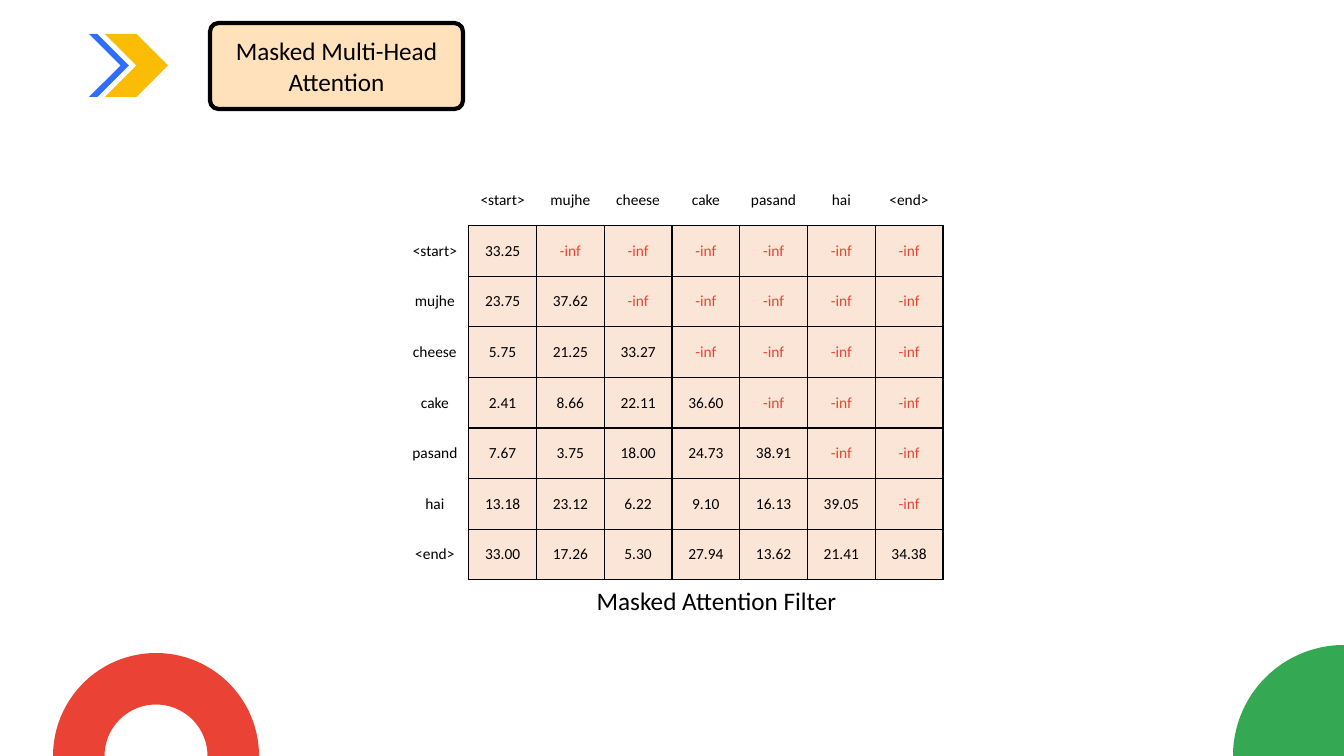
from math import cos, pi, sin

from lxml.etree import SubElement
from pptx import Presentation
from pptx.dml.color import RGBColor
from pptx.enum.shapes import MSO_SHAPE as SHAPE
from pptx.enum.text import MSO_ANCHOR as ANCHOR, MSO_AUTO_SIZE as AUTO, PP_ALIGN as ALIGN
from pptx.oxml.ns import qn
from pptx.util import Emu, Pt

BLACK = RGBColor(0x00, 0x00, 0x00)
WHITE = RGBColor(0xFF, 0xFF, 0xFF)
YELLOW = RGBColor(0xFB, 0xBC, 0x05)
BLUE = RGBColor(0x2F, 0x6D, 0xFF)
RED = RGBColor(0xEA, 0x43, 0x35)
GREEN = RGBColor(0x34, 0xA8, 0x53)
CREAM = RGBColor(0xFF, 0xE2, 0xBB)
PEACH = RGBColor(0xFB, 0xE5, 0xD6)

TOKENS = ["<start>", "mujhe", "cheese", "cake", "pasand", "hai", "<end>"]
SCORES = [
    ["33.25"],
    ["23.75", "37.62"],
    ["5.75", "21.25", "33.27"],
    ["2.41", "8.66", "22.11", "36.60"],
    ["7.67", "3.75", "18.00", "24.73", "38.91"],
    ["13.18", "23.12", "6.22", "9.10", "16.13", "39.05"],
    ["33.00", "17.26", "5.30", "27.94", "13.62", "21.41", "34.38"],
]


def px(n):
    return Emu(round(n * 914400 / 100.8))


def box(*lengths):
    return [px(n) for n in lengths]


def write(tf, text, size, color=BLACK):
    p = tf.paragraphs[0]
    p.alignment = ALIGN.CENTER
    r = p.add_run()
    r.text = text
    r.font.name = "Calibri"
    r.font.size = Pt(size)
    r.font.color.rgb = color


def paint(sp, fill):
    sp.shadow.inherit = False
    sp.fill.solid()
    sp.fill.fore_color.rgb = fill
    sp.line.fill.background()


def add_preset(shapes, kind, bounds, fill, adj=None):
    sp = shapes.add_shape(kind, *box(*bounds))
    paint(sp, fill)
    if adj is not None:
        sp.adjustments[0] = adj
    return sp


def add_title(shapes, text):
    sp = add_preset(shapes, SHAPE.ROUNDED_RECTANGLE, (210, 23, 253, 86), CREAM, 0.1)
    sp.line.color.rgb = BLACK
    sp.line.width = Pt(3)
    sp.text_frame.word_wrap = True
    sp.text_frame.vertical_anchor = ANCHOR.MIDDLE
    write(sp.text_frame, text, 18)


def add_quarter_disc(shapes, cx, cy, radius, fill, steps=90):
    angles = [pi + i * pi / 2 / steps for i in range(steps + 1)]
    arc = [(px(cx + radius * cos(a)), px(cy + radius * sin(a))) for a in angles]
    builder = shapes.build_freeform(px(cx), px(cy))
    builder.add_line_segments(arc, close=True)
    paint(builder.convert_to_shape(), fill)


def set_borders(cell, sides, color, width):
    tc_pr = cell._tc.get_or_add_tcPr()
    for i, side in enumerate(sides):
        ln = tc_pr.makeelement(qn(f"a:ln{side}"), {"w": str(Pt(width))})
        SubElement(SubElement(ln, qn("a:solidFill")), qn("a:srgbClr"), val=str(color))
        tc_pr.insert(i, ln)


def fill_cell(cell, text, color=BLACK, fill=None):
    cell.vertical_anchor = ANCHOR.MIDDLE
    if fill is None:
        cell.fill.background()
    else:
        cell.fill.solid()
        cell.fill.fore_color.rgb = fill
    if text:
        write(cell.text_frame, text, 11, color)


def add_score_table(shapes):
    n = len(TOKENS) + 1
    table = shapes.add_table(n, n, *box(401, 175, 542, 405)).table
    table.first_row = table.horz_banding = False
    for col, token in enumerate([""] + TOKENS):
        cell = table.cell(0, col)
        fill_cell(cell, token)
        if token:
            set_borders(cell, "B", BLACK, 1)
        set_borders(cell, "LRT", WHITE, 4.5)
    for row, (token, scores) in enumerate(zip(TOKENS, SCORES), 1):
        label = table.cell(row, 0)
        fill_cell(label, token)
        set_borders(label, "R", BLACK, 1)
        for col in range(1, n):
            cell = table.cell(row, col)
            if col <= row:
                fill_cell(cell, scores[col - 1], BLACK, PEACH)
            else:
                fill_cell(cell, "-inf", RED, PEACH)
            set_borders(cell, "LRTB", BLACK, 1)


def add_caption(shapes, text):
    tf = shapes.add_textbox(*box(585, 580, 263, 40)).text_frame
    tf.word_wrap = False
    tf.auto_size = AUTO.SHAPE_TO_FIT_TEXT
    write(tf, text, 18)


def main():
    """Build the masked attention slide."""
    prs = Presentation()
    prs.slide_width, prs.slide_height = box(1344, 756)
    shapes = prs.slides.add_slide(prs.slide_layouts[6]).shapes
    arrows = shapes.add_group_shape().shapes
    add_preset(arrows, SHAPE.CHEVRON, (105, 34, 63, 63), YELLOW)
    add_preset(arrows, SHAPE.CHEVRON, (89, 34, 40, 63), BLUE, 0.79)
    add_preset(shapes, SHAPE.BLOCK_ARC, (53, 653, 206, 206), RED)
    add_title(shapes, "Masked Multi-Head Attention")
    add_quarter_disc(shapes, 1344, 756, 111, GREEN)
    add_score_table(shapes)
    add_caption(shapes, "Masked Attention Filter")
    prs.save("out.pptx")


if __name__ == "__main__":
    main()
